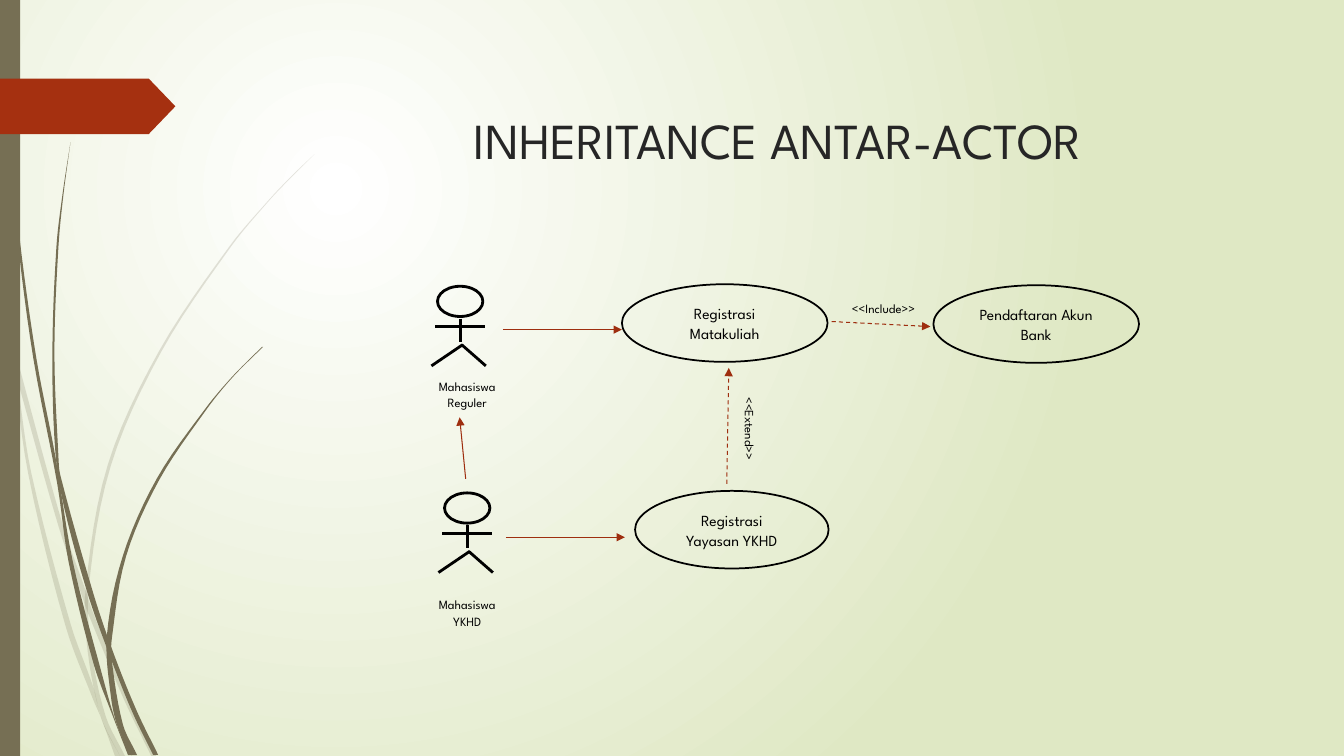
from dataclasses import dataclass

from lxml.etree import SubElement
from pptx import Presentation
from pptx.dml.color import RGBColor
from pptx.enum.dml import MSO_LINE_DASH_STYLE as Dash
from pptx.enum.shapes import MSO_CONNECTOR as Connector, MSO_SHAPE as Preset
from pptx.enum.text import MSO_ANCHOR as Anchor, MSO_AUTO_SIZE as AutoSize, PP_ALIGN as Align
from pptx.oxml import parse_xml
from pptx.oxml.ns import nsdecls, qn
from pptx.util import Inches, Pt

Point = tuple[float, float]
Box = tuple[float, float, float, float]


@dataclass(frozen=True)
class Theme:
    font: str = "League Spartan"
    ink: str = "000000"
    heading: str = "262626"
    olive: str = "766F54"
    rust: str = "A53010"
    arrow: str = "9E2E0F"
    glow: str = "FFFFFF"
    meadow: str = "DFE8C4"
    title_size: float = 36
    case_size: float = 11
    label_size: float = 9
    figure_line: float = 2
    case_line: float = 1.25
    arrow_line: float = 0.75


THEME = Theme()


# All lengths are columns and rows of a grid with ten cells to the inch
@dataclass(frozen=True)
class Blade:
    """A grass blade: both edges run from the top to the bottom."""
    right: list[Point]
    left: list[Point]
    opacity: int = 100


@dataclass(frozen=True)
class Actor:
    name: str
    corner: Point
    label_row: float


@dataclass(frozen=True)
class UseCase:
    name: str
    box: Box


@dataclass(frozen=True)
class Relation:
    start: Point
    end: Point
    dashed: bool = False


@dataclass(frozen=True)
class Stereotype:
    name: str
    box: Box
    rotation: float = 0


BLADES = [
    Blade([(0, 28.2), (0.9, 32.2), (1.7, 37.6), (3.1, 46.9), (7, 61.9), (9.3, 68.3), (10.1, 71.4), (11.9, 75)],
          [(0, 29.9), (1.1, 35), (2.8, 47), (6.5, 62.1), (9.2, 69.3), (10.1, 71.4), (11.4, 75)], 20),
    Blade([(1.4, 34.5), (6.2, 52), (8.5, 58.6), (9.2, 60.7), (12.7, 69.2), (15.5, 75)],
          [(1.7, 37.6), (5.8, 52.2), (8.4, 59.9), (8.8, 61), (12.3, 69.4), (15, 75)], 20),
    Blade([(31.2, 15.3), (29, 17.5), (26.8, 19.8), (22.9, 24.5), (16, 34.9), (11, 46.2), (8.8, 58.4),
           (9.1, 64.6), (10.5, 71.1), (12.4, 75)],
          [(31.2, 15.3), (28.9, 17.5), (26.8, 19.7), (22.8, 24.4), (15.8, 34.8), (10.7, 46.1), (8.5, 58.4),
           (8.7, 64.6), (10.1, 71.4), (11.9, 75)], 20),
    Blade([(0.4, 0), (0.8, 10.9), (1.9, 23.2), (3.6, 35.5), (5.5, 45.3), (7.2, 55.6), (9.8, 65.7),
           (11.7, 72.2), (13.1, 74.9)],
          [(0.3, 0), (0.7, 11), (1.7, 23.3), (3.3, 35.5), (5.7, 48.1), (6.8, 55.7), (9.3, 65.9),
           (11.1, 70.8), (12.7, 74.9)]),
    Blade([(7, 14.1), (6.3, 19.3), (5.8, 24.5), (5.4, 34.9), (5.8, 45.3), (6, 47.2), (9.3, 59),
           (11.3, 64.9), (13.6, 70.6), (15.7, 74.9)],
          [(7, 14.1), (6.2, 19.3), (5.6, 24.5), (5.2, 34.9), (5.5, 44.9), (6.4, 50.5), (8.8, 59.2),
           (11.1, 65.6), (13.2, 70.8), (15.2, 74.9)]),
    Blade([(26.1, 34.4), (23.1, 37.4), (20.5, 40.6), (15.8, 47.6), (12.5, 55.2), (11.1, 63.3),
           (11.1, 65.6), (12.2, 71.9), (13.6, 74.9)],
          [(26, 34.4), (23.1, 37.3), (20.4, 40.5), (15.6, 47.4), (12.2, 55.1), (10.6, 63.1),
           (11, 69.1), (11.7, 72.2), (13, 74.9)]),
]
HEAD = (4.5, 3)
LIMBS = [((2.5, 5.8), (-0.6, 7.9)), ((2.4, 5.8), (4.8, 7.9)),
         ((2.3, 3.2), (2.3, 5.5)), ((-0.2, 4), (4.7, 4))]
ACTORS = [Actor("Mahasiswa Reguler", (43.4, 28.4), 36.8),
          Actor("Mahasiswa YKHD", (44.1, 48.9), 58.5)]
USE_CASES = [UseCase("Registrasi Matakuliah", (61.7, 28.2, 20.4, 7.7)),
             UseCase("Registrasi Yayasan YKHD", (63, 48.7, 19.2, 7.7)),
             UseCase("Pendaftaran Akun Bank", (92.6, 28.3, 20.4, 7.7))]
RELATIONS = [Relation((46.2, 47.5), (45.6, 41.4)),
             Relation((49.9, 32.7), (61.7, 32.7)),
             Relation((50.2, 53.3), (62, 53.3)),
             Relation((72.1, 48), (72.3, 36.5), dashed=True),
             Relation((82.5, 31.9), (92.3, 32.4), dashed=True)]
STEREOTYPES = [Stereotype("<<Include>>", (82.5, 29.1, 10.3, 3)),
               Stereotype("<<Extend>>", (69.8, 40.9, 9.3, 3.3), 90)]


def cells(*counts: float) -> list[int]:
    return [Inches(count / 10) for count in counts]


def smooth(edge: list[Point], steps: int = 6) -> list[Point]:
    """Hermite curve through the edge, with x as a function of y."""
    last = len(edge) - 1
    slopes = []
    for i in range(last + 1):
        (x0, y0), (x1, y1) = edge[max(i - 1, 0)], edge[min(i + 1, last)]
        slopes.append((x1 - x0) / (y1 - y0))
    curve = []
    for i in range(last):
        (x0, y0), (x1, y1) = edge[i], edge[i + 1]
        rise = y1 - y0
        for step in range(steps):
            t = step / steps
            x = ((2 * t**3 - 3 * t**2 + 1) * x0 + (3 * t**2 - 2 * t**3) * x1
                 + rise * ((t**3 - 2 * t**2 + t) * slopes[i] + (t**3 - t**2) * slopes[i + 1]))
            curve.append((x, y0 + t * rise))
    return curve + [edge[-1]]


def paint(shape, color: str) -> None:
    shape.shadow.inherit = False
    shape.fill.solid()
    shape.fill.fore_color.rgb = RGBColor.from_string(color)
    shape.line.fill.background()


def write(frame, text: str, size: float, color: str = THEME.ink) -> None:
    frame.text = text
    frame.word_wrap = True
    frame.auto_size = AutoSize.NONE
    frame.vertical_anchor = Anchor.MIDDLE
    paragraph = frame.paragraphs[0]
    paragraph.alignment = Align.CENTER
    font = paragraph.runs[0].font
    font.name, font.size = THEME.font, Pt(size)
    font.color.rgb = RGBColor.from_string(color)


def write_diagram_text(frame, text: str, size: float) -> None:
    write(frame, text, size)
    frame.paragraphs[0].line_spacing = 1.07
    frame.paragraphs[0].space_after = Pt(8)


def draw_background(slide) -> None:
    slide._element.cSld.insert(0, parse_xml(
        f'<p:bg {nsdecls("p", "a")}><p:bgPr><a:gradFill rotWithShape="1"><a:gsLst>'
        f'<a:gs pos="0"><a:srgbClr val="{THEME.glow}"/></a:gs>'
        f'<a:gs pos="100000"><a:srgbClr val="{THEME.meadow}"/></a:gs></a:gsLst>'
        '<a:path path="circle"><a:fillToRect l="50000" t="50000" r="100000" b="100000"/></a:path>'
        '</a:gradFill><a:effectLst/></p:bgPr></p:bg>'))


def draw_blade(shapes, blade: Blade) -> None:
    outline = [cells(*point) for point in smooth(blade.right) + smooth(blade.left)[::-1]]
    builder = shapes.build_freeform(*outline[0])
    builder.add_line_segments(outline[1:])
    grass = builder.convert_to_shape()
    paint(grass, THEME.olive)
    if blade.opacity < 100:
        tint = grass._element.spPr.find(f'{qn("a:solidFill")}/{qn("a:srgbClr")}')
        SubElement(tint, qn("a:alpha"), val=str(blade.opacity * 1000))


def draw_line(shapes, start: Point, end: Point, color: str, width: float):
    line = shapes.add_connector(Connector.STRAIGHT, *cells(*start, *end))
    line.line.color.rgb = RGBColor.from_string(color)
    line.line.width = Pt(width)
    SubElement(line._element.spPr, qn("a:effectLst"))
    return line


def draw_ellipse(shapes, box: Box, width: float):
    ellipse = shapes.add_shape(Preset.OVAL, *cells(*box))
    ellipse.shadow.inherit = False
    ellipse.fill.background()
    ellipse.line.color.rgb = RGBColor.from_string(THEME.ink)
    ellipse.line.width = Pt(width)
    return ellipse


def draw_label(shapes, text: str, box: Box, rotation: float = 0) -> None:
    label = shapes.add_textbox(*cells(*box))
    label.rotation = rotation
    write_diagram_text(label.text_frame, text, THEME.label_size)


def draw_actor(shapes, actor: Actor) -> None:
    x, y = actor.corner
    draw_ellipse(shapes, (x, y, *HEAD), THEME.figure_line)
    for (x0, y0), (x1, y1) in LIMBS:
        draw_line(shapes, (x + x0, y + y0), (x + x1, y + y1), THEME.ink, THEME.figure_line)
    draw_label(shapes, actor.name, (41.2, actor.label_row, 10.3, 4.5))


def draw_relation(shapes, relation: Relation) -> None:
    arrow = draw_line(shapes, relation.start, relation.end, THEME.arrow, THEME.arrow_line)
    if relation.dashed:
        arrow.line.dash_style = Dash.DASH
    SubElement(arrow._element.spPr.find(qn("a:ln")), qn("a:tailEnd"), type="triangle")


def main() -> None:
    deck = Presentation()
    deck.slide_width, deck.slide_height = cells(133.33, 75)
    slide = deck.slides.add_slide(deck.slide_layouts[5])
    shapes = slide.shapes

    # Backdrop: grass, side bar and pennant
    draw_background(slide)
    for blade in BLADES:
        draw_blade(shapes, blade)
    paint(shapes.add_shape(Preset.RECTANGLE, *cells(0, 0, 2, 75)), THEME.olive)
    pennant = shapes.add_shape(Preset.PENTAGON, *cells(0, 7.8, 17.4, 5.5))
    pennant.adjustments[0] = 0.48
    paint(pennant, THEME.rust)

    # Title
    title = shapes.title
    title.left, title.top, title.width, title.height = cells(28.4, 6.8, 97.5, 14)
    write(title.text_frame, "INHERITANCE ANTAR-ACTOR", THEME.title_size, THEME.heading)

    # Use case diagram
    for actor in ACTORS:
        draw_actor(shapes, actor)
    for case in USE_CASES:
        oval = draw_ellipse(shapes, case.box, THEME.case_line)
        write_diagram_text(oval.text_frame, case.name, THEME.case_size)
    for relation in RELATIONS:
        draw_relation(shapes, relation)
    for stereotype in STEREOTYPES:
        draw_label(shapes, stereotype.name, stereotype.box, stereotype.rotation)

    deck.save("out.pptx")


if __name__ == "__main__":
    main()
